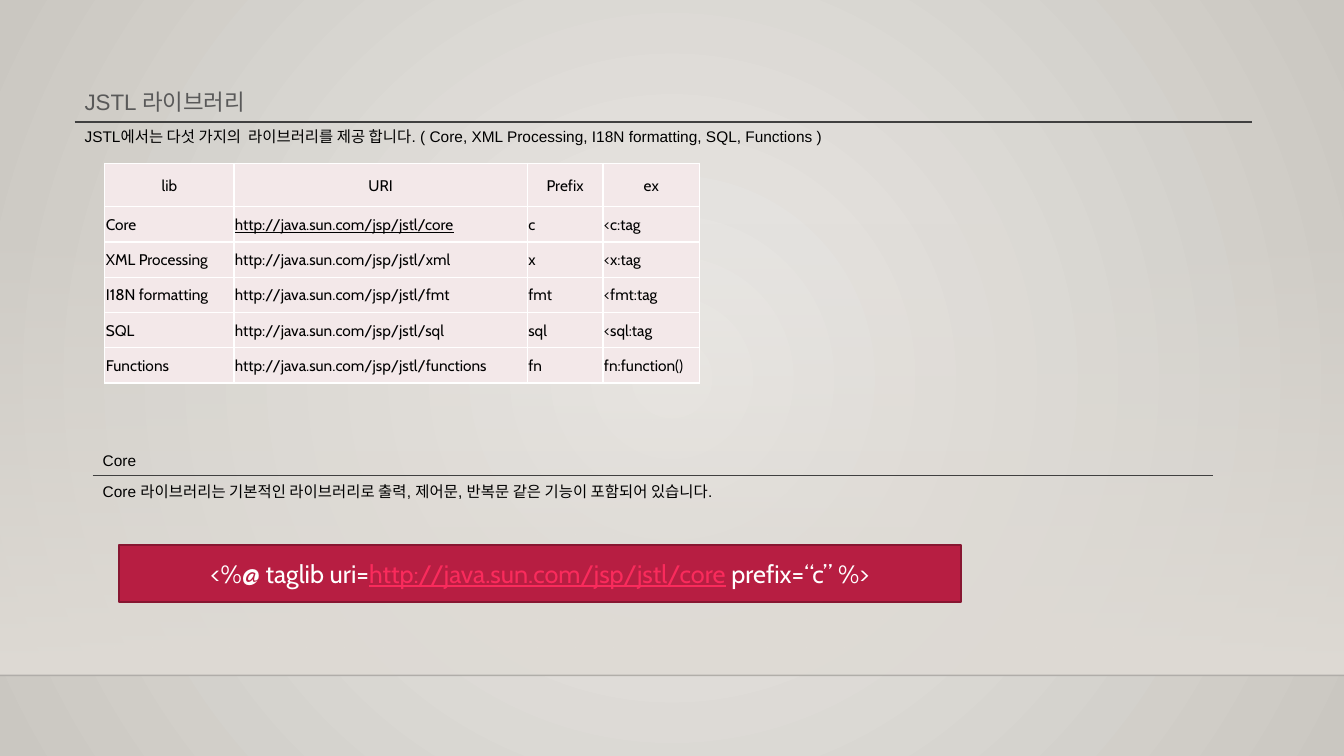
from lxml.etree import SubElement
from pptx import Presentation
from pptx.dml.color import RGBColor
from pptx.enum.shapes import MSO_CONNECTOR, MSO_SHAPE
from pptx.enum.text import MSO_ANCHOR, MSO_AUTO_SIZE, PP_ALIGN
from pptx.oxml.ns import qn
from pptx.util import Inches, Pt

BLACK = RGBColor(0x00, 0x00, 0x00)
WHITE = RGBColor(0xFF, 0xFF, 0xFF)
TITLE_GREY = RGBColor(0x59, 0x59, 0x59)
RULE_GREY = RGBColor(0x40, 0x40, 0x40)
FLOOR_LINE = RGBColor(0x00, 0x00, 0x01)
BACK_LIGHT = RGBColor(0xEC, 0xEA, 0xE7)
BACK_DARK = RGBColor(0xCA, 0xC7, 0xC1)
GLOW = RGBColor(0xDF, 0xDB, 0xD5)
CELL_PINK = RGBColor(0xF3, 0xE8, 0xE9)
CRIMSON = RGBColor(0xB7, 0x1E, 0x42)
CRIMSON_DARK = RGBColor(0x87, 0x16, 0x31)
LINK_PINK = RGBColor(0xFA, 0x2B, 0x5C)

CORE_URI = "http://java.sun.com/jsp/jstl/core"
LIBRARIES = [
    ("lib", "URI", "Prefix", "ex"),
    ("Core", CORE_URI, "c", "<c:tag"),
    ("XML Processing", "http://java.sun.com/jsp/jstl/xml", "x", "<x:tag"),
    ("I18N formatting", "http://java.sun.com/jsp/jstl/fmt", "fmt", "<fmt:tag"),
    ("SQL", "http://java.sun.com/jsp/jstl/sql", "sql", "<sql:tag"),
    ("Functions", "http://java.sun.com/jsp/jstl/functions", "fn", "fn:function()"),
]


def set_alpha(color_owner, percent):
    """Give the first RGB colour inside an XML element an opacity."""
    color = color_owner.find(".//" + qn("a:srgbClr"))
    SubElement(color, qn("a:alpha"), val=str(percent * 1000))


class SlideBuilder:
    body_font = "Arial"
    code_font = "Cabin"
    body_size = 11

    def __init__(self, slide):
        self.slide = slide
        self.shapes = slide.shapes

    def style(self, run, font, size, color, underline=None):
        run.font.name = font
        run.font.size = Pt(size)
        run.font.color.rgb = color
        run.font.underline = underline

    def gradient(self, fill, start, end):
        fill.gradient()
        for stop, color in zip(fill.gradient_stops, (start, end)):
            stop.color.rgb = color

    def background(self):
        self.gradient(self.slide.background.fill, BACK_LIGHT, BACK_DARK)
        gradient = self.slide.element.find(".//" + qn("a:gradFill"))
        gradient.remove(gradient.find(qn("a:lin")))
        circle = SubElement(gradient, qn("a:path"), path="circle")
        SubElement(circle, qn("a:fillToRect"), l="50000", t="50000", r="50000", b="50000")

    def rectangle(self, left, top, width, height):
        box = self.shapes.add_shape(MSO_SHAPE.RECTANGLE, Inches(left), Inches(top),
                                    Inches(width), Inches(height))
        box.shadow.inherit = False
        return box

    def glow(self, top, height):
        """Full-width band that fades in from clear to solid."""
        band = self.rectangle(0, top, 13.33, height)
        band.line.fill.background()
        self.gradient(band.fill, GLOW, GLOW)
        band.fill.gradient_angle = 270
        set_alpha(band.element.spPr, 0)

    def rule(self, left, right, y, color=RULE_GREY, opacity=100):
        line = self.shapes.add_connector(MSO_CONNECTOR.STRAIGHT, Inches(left), Inches(y),
                                         Inches(right), Inches(y))
        line.line.color.rgb = color
        line.line.width = Pt(1)
        if opacity < 100:
            set_alpha(line.element.spPr, opacity)
        SubElement(line.element.spPr, qn("a:effectLst"))

    def text(self, left, top, width, height, words, size=body_size, color=BLACK):
        frame = self.shapes.add_textbox(Inches(left), Inches(top), Inches(width),
                                        Inches(height)).text_frame
        frame.word_wrap = True
        frame.auto_size = MSO_AUTO_SIZE.SHAPE_TO_FIT_TEXT
        frame.text = words
        self.style(frame.paragraphs[0].runs[0], self.body_font, size, color)

    def cell(self, cell, words, centred):
        cell.margin_left = cell.margin_right = cell.margin_top = Inches(0.01)
        cell.margin_bottom = 0
        cell.vertical_anchor = MSO_ANCHOR.MIDDLE
        cell.text = words
        paragraph = cell.text_frame.paragraphs[0]
        paragraph.alignment = PP_ALIGN.CENTER if centred else PP_ALIGN.LEFT
        self.style(paragraph.runs[0], self.code_font, self.body_size, BLACK,
                   words == CORE_URI)
        properties = cell._tc.get_or_add_tcPr()
        for side in ("lnL", "lnR", "lnT", "lnB"):
            border = SubElement(properties, qn("a:" + side), w=str(Pt(1)))
            solid = SubElement(border, qn("a:solidFill"))
            SubElement(solid, qn("a:srgbClr"), val=str(WHITE))
        cell.fill.solid()
        cell.fill.fore_color.rgb = CELL_PINK

    def table(self, left, top, widths, heights, rows):
        table = self.shapes.add_table(len(rows), len(widths), Inches(left), Inches(top),
                                      Inches(sum(widths)), Inches(sum(heights))).table
        table.first_row = table.horz_banding = False
        for column, width in zip(table.columns, widths):
            column.width = Inches(width)
        for r, (height, row) in enumerate(zip(heights, rows)):
            table.rows[r].height = Inches(height)
            for c, words in enumerate(row):
                self.cell(table.cell(r, c), words, centred=r == 0)

    def code_banner(self, left, top, width, height, parts):
        """Crimson box with one line of code; parts are (words, is_link)."""
        banner = self.rectangle(left, top, width, height)
        banner.fill.solid()
        banner.fill.fore_color.rgb = CRIMSON
        banner.line.color.rgb = CRIMSON_DARK
        banner.line.width = Pt(1.25)
        banner.text_frame.vertical_anchor = MSO_ANCHOR.MIDDLE
        paragraph = banner.text_frame.paragraphs[0]
        paragraph.alignment = PP_ALIGN.CENTER
        for words, is_link in parts:
            run = paragraph.add_run()
            run.text = words
            self.style(run, self.code_font, 18, LINK_PINK if is_link else WHITE, is_link)


def main():
    deck = Presentation()
    deck.slide_width, deck.slide_height = Inches(13.33), Inches(7.5)
    page = SlideBuilder(deck.slides.add_slide(deck.slide_layouts[6]))

    page.background()
    page.glow(2.21, 4.49)
    page.rule(0, 13.33, 6.7, FLOOR_LINE, opacity=20)

    page.text(0.74, 0.83, 11.68, 0.37, "JSTL 라이브러리", 16, TITLE_GREY)
    page.rule(0.74, 12.42, 1.21)
    page.text(0.74, 1.21, 11.68, 0.29,
              "JSTL에서는 다섯 가지의  라이브러리를 제공 합니다. "
              "( Core, XML Processing, I18N formatting, SQL, Functions )")
    page.table(1.04, 1.62, [1.28, 2.91, 0.75, 0.96], [0.43] + [0.35] * 5, LIBRARIES)

    page.text(0.92, 4.43, 11.11, 0.29, "Core")
    page.rule(0.92, 12.03, 4.72)
    page.text(0.92, 4.73, 11.11, 0.29,
              "Core 라이브러리는 기본적인 라이브러리로 출력, 제어문, "
              "반복문 같은 기능이 포함되어 있습니다.")
    page.code_banner(1.18, 5.41, 8.35, 0.56, [
        ("<%@ taglib uri=", False), (CORE_URI, True), (" prefix=“c” %>", False)])

    deck.save("out.pptx")


if __name__ == "__main__":
    main()
